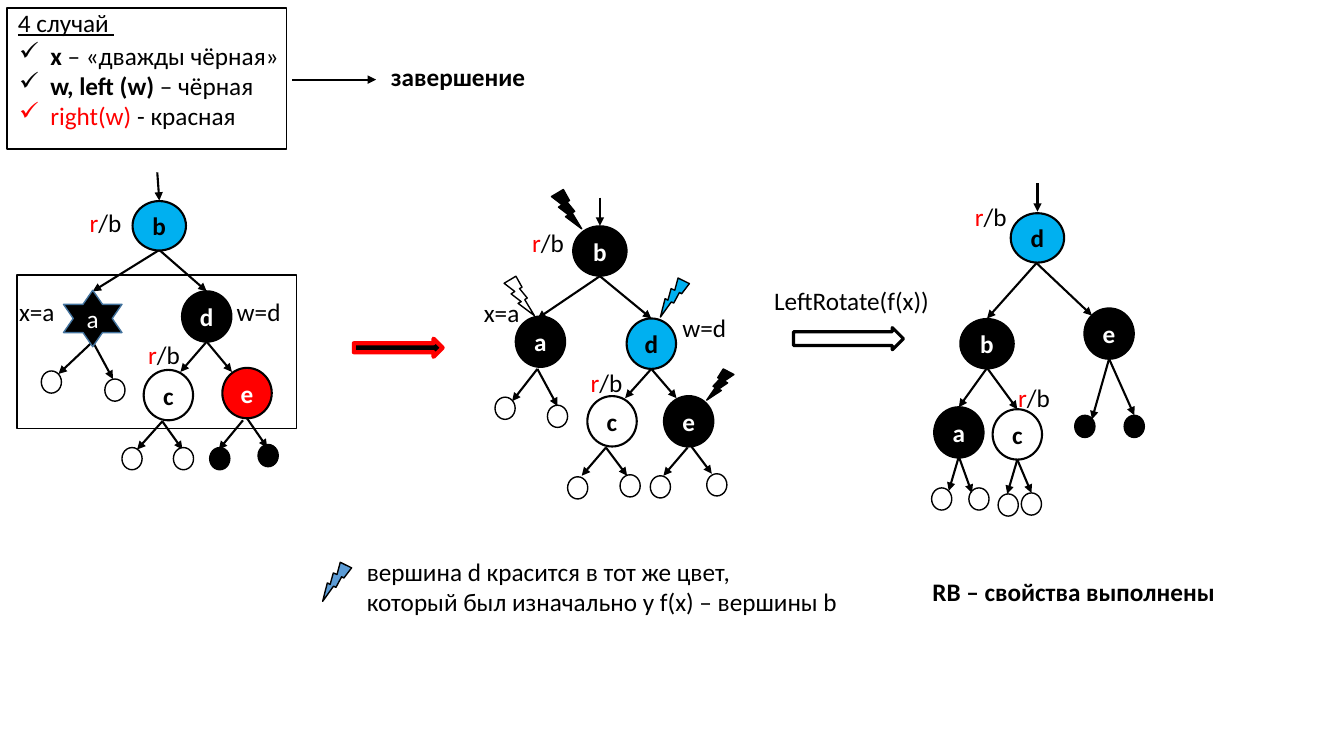
from lxml.etree import SubElement
from pptx import Presentation
from pptx.dml.color import RGBColor
from pptx.enum.shapes import MSO_CONNECTOR, MSO_SHAPE
from pptx.enum.text import MSO_ANCHOR, PP_ALIGN
from pptx.oxml.ns import qn
from pptx.util import Inches, Pt

BLACK = RGBColor(0, 0, 0)
WHITE = RGBColor(255, 255, 255)
RED = RGBColor(255, 0, 0)
BLUE = RGBColor(0, 0xB0, 0xF0)
STEEL = RGBColor(0x5B, 0x9B, 0xD5)
NAVY = RGBColor(0x43, 0x73, 0x9E)

ROOT, NODE, LEAF = (0.53, 0.49), (0.49, 0.5), (0.2, 0.22)

# Trees: nodes are (letter, centre x, centre y, size, fill, text colour),
# edges are (start, ends), leaves are (centre x, centre y, fill)
TREES = [
    {   # before
        "nodes": [("b", 1.58, 2.24, ROOT, BLUE, BLACK),
                  ("d", 2.05, 3.14, NODE, BLACK, WHITE),
                  ("c", 1.67, 3.92, NODE, None, BLACK),
                  ("e", 2.45, 3.9, NODE, RED, WHITE)],
        "edges": [((1.56, 1.71), [(1.58, 1.99)]),
                  ((1.58, 2.48), [(0.92, 2.89), (2.05, 2.89)]),
                  ((0.92, 3.39), [(0.58, 3.71), (1.12, 3.76)]),
                  ((2.05, 3.39), [(1.79, 3.69), (2.3, 3.69)]),
                  ((1.61, 4.18), [(1.36, 4.46), (1.81, 4.46)]),
                  ((2.41, 4.17), [(2.17, 4.46)]),
                  ((2.45, 4.15), [(2.65, 4.44)])],
        "leaves": [(0.51, 3.79, None), (1.14, 3.87, None),
                   (1.31, 4.55, WHITE), (1.82, 4.55, WHITE),
                   (2.18, 4.55, BLACK), (2.66, 4.52, BLACK)],
    },
    {   # recoloured
        "nodes": [("b", 5.95, 2.49, ROOT, BLACK, WHITE),
                  ("a", 5.36, 3.39, NODE, BLACK, WHITE),
                  ("d", 6.46, 3.41, NODE, BLUE, BLACK),
                  ("c", 6.07, 4.18, NODE, WHITE, BLACK),
                  ("e", 6.83, 4.18, NODE, BLACK, WHITE)],
        "edges": [((5.95, 1.96), [(5.95, 2.24)]),
                  ((5.95, 2.74), [(5.33, 3.16), (6.46, 3.16)]),
                  ((5.33, 3.66), [(5.08, 3.98), (5.53, 4.03)]),
                  ((6.46, 3.66), [(6.2, 3.95), (6.71, 3.95)]),
                  ((6.01, 4.44), [(5.77, 4.72), (6.22, 4.72)]),
                  ((6.82, 4.44), [(6.58, 4.72)]),
                  ((6.85, 4.42), [(7.06, 4.7)])],
        "leaves": [(5.01, 4.05, WHITE), (5.53, 4.13, WHITE),
                   (5.73, 4.84, WHITE), (6.25, 4.82, WHITE),
                   (6.55, 4.83, WHITE), (7.11, 4.81, WHITE)],
    },
    {   # rotated
        "nodes": [("d", 10.29, 2.36, ROOT, BLUE, BLACK),
                  ("b", 9.79, 3.41, ROOT, BLACK, WHITE),
                  ("e", 11, 3.31, NODE, BLACK, WHITE),
                  ("a", 9.51, 4.29, NODE, BLACK, WHITE),
                  ("c", 10.09, 4.31, NODE, WHITE, BLACK)],
        "edges": [((10.29, 1.82), [(10.29, 2.1)]),
                  ((10.28, 2.61), [(9.79, 3.16), (10.83, 3.13)]),
                  ((9.79, 3.65), [(9.51, 4.04), (10.09, 4.06)]),
                  ((11, 3.56), [(10.83, 4.16), (11.25, 4.12)]),
                  ((9.51, 4.53), [(9.41, 4.87), (9.64, 4.89)]),
                  ((10.09, 4.56), [(9.99, 4.9), (10.23, 4.89)])],
        "leaves": [(9.34, 4.95, None), (9.71, 4.95, None),
                   (10, 5.01, WHITE), (10.23, 5, WHITE),
                   (10.76, 4.23, BLACK), (11.25, 4.23, BLACK)],
    },
]

# Bolts: box, fill, turn, mirrored
BOLTS = [((5.47, 1.88, 0.3, 0.39), BLACK, 0, False),
         ((5, 2.74, 0.3, 0.39), WHITE, 0, False),
         ((6.54, 2.73, 0.26, 0.41), BLUE, 62, False),
         ((7.01, 3.66, 0.27, 0.31), BLACK, 0, True),
         ((3.19, 5.55, 0.26, 0.41), STEEL, 62, False)]

# Text: box and paragraphs of runs (text, marks, colour); b bold, u underlined
RB = [[("r", "", RED), ("/b", "", BLACK)]]
RB_SPOTS = [(0.79, 2.01), (1.37, 3.32), (5.18, 2.21),
            (5.76, 3.59), (9.57, 1.95), (10, 3.74)]
LABELS = [((x, y, 0.52, 0.4), RB) for x, y in RB_SPOTS] + [
    (box, [[(line, marks, BLACK)] for line in lines]) for box, marks, lines in [
        ((0.09, 2.89, 0.62, 0.4), "", ["x=a"]),
        ((2.25, 2.89, 0.64, 0.4), "", ["w=d"]),
        ((4.7, 2.9, 0.62, 0.4), "", ["x=a"]),
        ((6.67, 3.05, 0.64, 0.4), "", ["w=d"]),
        ((7.58, 2.78, 1.98, 0.4), "", ["LeftRotate(f(x))"]),
        ((0.08, 0.02, 1.17, 0.4), "u", ["4 случай "]),
        ((3.78, 0.56, 1.54, 0.4), "b", ["завершение"]),
        ((9.15, 5.67, 3.03, 0.4), "b", ["RB – свойства выполнены"]),
        ((3.54, 5.47, 4.94, 0.71), "",
         ["вершина d красится в тот же цвет,",
          "который был изначально у f(x) – вершины b"]),
    ]]
RULES = [[("x", "b", BLACK), (" – «дважды чёрная»", "", BLACK)],
         [("w, left (w) ", "b", BLACK), ("– чёрная", "", BLACK)],
         [("right(w) ", "", RED), ("- красная ", "", BLACK)]]
FRAMES = [(0.07, 0.08, 2.77, 1.4), (0.17, 2.73, 2.77, 1.52)]

deck = Presentation()
deck.slide_width, deck.slide_height = Inches(13.33), Inches(7.5)
slide = deck.slides.add_slide(deck.slide_layouts[6])


def draw(kind, box, fill, line=BLACK, width=1):
    shape = slide.shapes.add_shape(kind, *map(Inches, box))
    shape.shadow.inherit = False
    if fill is None:
        shape.fill.background()
    else:
        shape.fill.solid()
        shape.fill.fore_color.rgb = fill
    shape.line.color.rgb = line
    shape.line.width = Pt(width)
    return shape


def around(x, y, size):
    return x - size[0] / 2, y - size[1] / 2, *size


def letter(shape, text, color, bold=True):
    frame = shape.text_frame
    frame.margin_left = frame.margin_right = 0
    frame.vertical_anchor = MSO_ANCHOR.MIDDLE
    para = frame.paragraphs[0]
    para.text, para.alignment = text, PP_ALIGN.CENTER
    font = para.font
    font.name, font.size, font.bold = "Calibri", Pt(18), bold
    font.color.rgb = color


def arrow(start, end):
    line = slide.shapes.add_connector(
        MSO_CONNECTOR.STRAIGHT, *map(Inches, (*start, *end)))
    line.line.color.rgb = BLACK
    line.line.width = Pt(1.5)
    SubElement(line.line._get_or_add_ln(), qn("a:tailEnd"), type="triangle")
    SubElement(line._element.spPr, qn("a:effectLst"))


def write(box, paras, bullet=None):
    frame = slide.shapes.add_textbox(*map(Inches, box)).text_frame
    frame.word_wrap = False
    for i, runs in enumerate(paras):
        para = frame.add_paragraph() if i else frame.paragraphs[0]
        para.font.name, para.font.size = "Calibri", Pt(18)
        for text, marks, color in runs:
            run = para.add_run()
            run.text = text
            run.font.bold, run.font.underline = "b" in marks, "u" in marks
            run.font.color.rgb = color
        if bullet:
            props = para._p.get_or_add_pPr()
            props.set("marL", str(Inches(0.31)))
            props.set("indent", str(-Inches(0.31)))
            props.insert(0, props.makeelement(qn("a:buChar"), {"char": bullet}))


# Trees
for tree in TREES:
    for start, ends in tree["edges"]:
        for end in ends:
            arrow(start, end)
    for x, y, fill in tree["leaves"]:
        draw(MSO_SHAPE.OVAL, around(x, y, LEAF), fill)
    for name, x, y, size, fill, color in tree["nodes"]:
        letter(draw(MSO_SHAPE.OVAL, around(x, y, size), fill, width=1.5), name, color)
star = draw(MSO_SHAPE.STAR_6_POINT, (0.63, 2.88, 0.58, 0.56), BLACK, NAVY)
letter(star, "a", WHITE, False)

# Steps between the trees
draw(MSO_SHAPE.RIGHT_ARROW, (3.51, 3.36, 0.88, 0.18), BLACK, RED, 3)
step = draw(MSO_SHAPE.RIGHT_ARROW, (7.87, 3.25, 1.09, 0.22), None, width=2.25)
step.adjustments[0] = 0.62
arrow((2.9, 0.79), (3.73, 0.79))

# Text, bolts and frames
for box, paras in LABELS:
    write(box, paras)
write((0.09, 0.35, 2.81, 1.01), RULES, "✓")
for box, fill, turn, mirror in BOLTS:
    bolt = draw(MSO_SHAPE.LIGHTNING_BOLT, box, fill)
    bolt.rotation = turn
    if mirror:
        bolt._element.spPr.get_or_add_xfrm().set("flipH", "1")
for box in FRAMES:
    draw(MSO_SHAPE.RECTANGLE, box, None)

deck.save("out.pptx")
